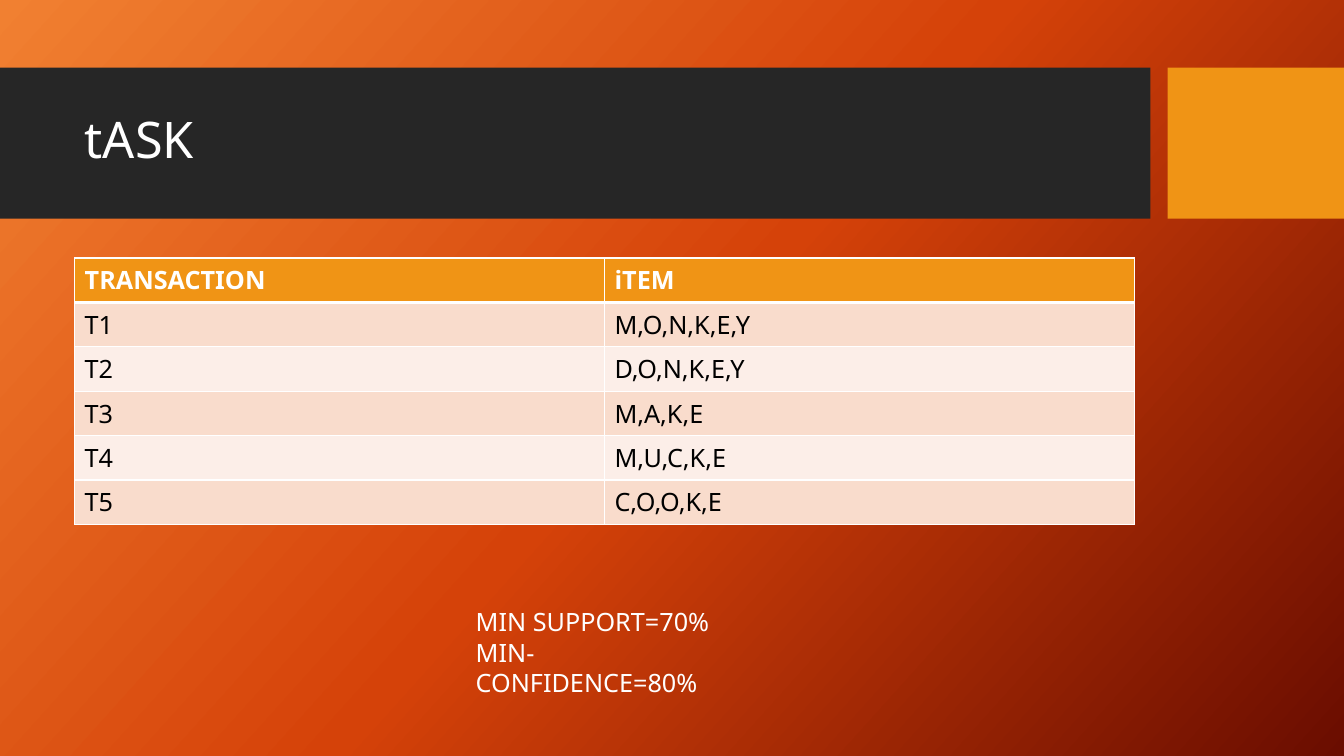
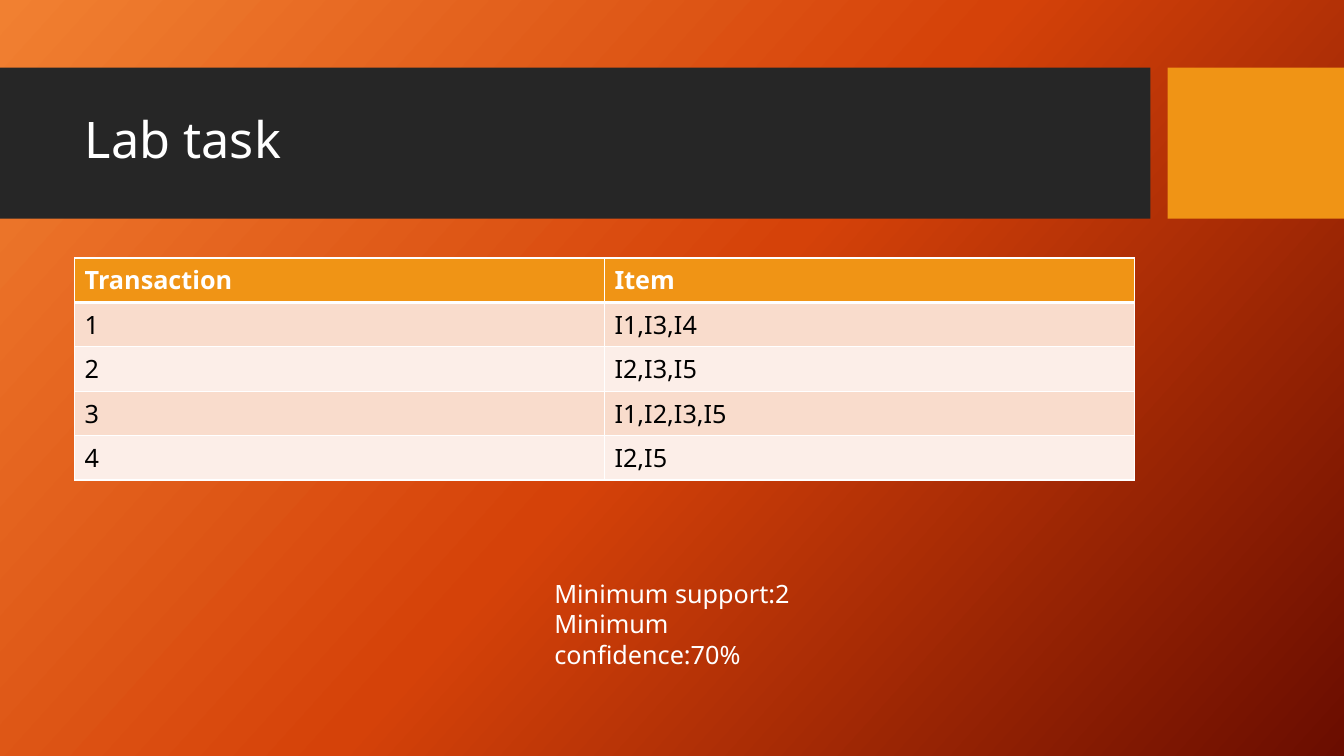
from copy import deepcopy

from lxml import etree
from pptx import Presentation
from pptx.dml.color import RGBColor
from pptx.enum import shapes, text
from pptx.oxml.ns import qn
from pptx.util import Inches, Pt

WHITE = RGBColor(0xFF, 0xFF, 0xFF)
BLACK = RGBColor(0, 0, 0)
CHARCOAL = RGBColor(0x26, 0x26, 0x26)
ORANGE = RGBColor(0xF0, 0x94, 0x15)
ROW_FILLS = [RGBColor(0xFC, 0xEE, 0xE8), RGBColor(0xF9, 0xDC, 0xCC)]
GRADIENT = [(0, RGBColor(0xF1, 0x80, 0x31)),
            (0.5, RGBColor(0xD5, 0x42, 0x09)),
            (1, RGBColor(0x6A, 0x0D, 0x00))]
GRADIENT_ANGLE = 42
FONT = "Noto Sans"

WIDTH, HEIGHT = 13.33, 7.5
LEFT, CONTENT_WIDTH = 0.74, 10.51
TABLE_TOP, ROW_HEIGHT = 2.56, 0.41
BAND_TOP, BAND_HEIGHT = 0.67, 1.5
BANDS = [(0, 11.41, CHARCOAL), (11.58, WIDTH - 11.58, ORANGE)]

SLIDES = [
    {"title": "tASK",
     "rows": [("TRANSACTION", "iTEM"),
              ("T1", "M,O,N,K,E,Y"),
              ("T2", "D,O,N,K,E,Y"),
              ("T3", "M,A,K,E"),
              ("T4", "M,U,C,K,E"),
              ("T5", "C,O,O,K,E")],
     "limits": ["MIN SUPPORT=70%", "MIN-CONFIDENCE=80%"],
     "limits_box": (4.62, 5.97, 2.68, 0.71)},
    {"title": "Lab task",
     "rows": [("Transaction", "Item"),
              ("1", "I1,I3,I4"),
              ("2", "I2,I3,I5"),
              ("3", "I1,I2,I3,I5"),
              ("4", "I2,I5")],
     "limits": ["Minimum support:2", "Minimum confidence:70%"],
     "limits_box": (5.4, 5.69, 3.05, 0.71)},
]


def box(*lengths):
    return [Inches(n) for n in lengths]


def write(tf, lines, size=18, color=WHITE, bold=False):
    for i, line in enumerate(lines):
        p = tf.paragraphs[0] if i == 0 else tf.add_paragraph()
        p.alignment = text.PP_ALIGN.LEFT
        r = p.add_run()
        r.text = line
        r.font.color.rgb = color
        for name, value in {"name": FONT, "size": Pt(size), "bold": bold}.items():
            setattr(r.font, name, value)


def set_background(master):
    fill = master.background.fill
    fill.gradient()
    fill.gradient_angle = 360 - GRADIENT_ANGLE
    stops = master.element.find(".//" + qn("a:gsLst"))
    stops.append(deepcopy(stops[0]))
    for stop, (position, color) in zip(fill.gradient_stops, GRADIENT):
        stop.position = position
        stop.color.rgb = color


def move_bands_to_layout(s, layout):
    """Draw the title bands on a slide, then place them behind its layout."""
    tree = layout.shapes.element if hasattr(layout.shapes, "element") else layout.element.cSld.spTree
    for i, (left, width, color) in enumerate(BANDS):
        sp = s.shapes.add_shape(shapes.MSO_SHAPE.RECTANGLE,
                                *box(left, BAND_TOP, width, BAND_HEIGHT))
        sp.shadow.inherit = False
        sp.fill.solid()
        sp.fill.fore_color.rgb = color
        sp.line.fill.background()
        sp.element.nvSpPr.cNvPr.set("id", str(100 + i))
        tree.insert(2 + i, sp.element)


def set_borders(cell, widths):
    tcPr = cell._tc.get_or_add_tcPr()
    for i, (side, width) in enumerate(widths.items()):
        ln = etree.Element(qn("a:ln" + side), w=str(Pt(width)))
        fill = etree.SubElement(ln, qn("a:solidFill"))
        etree.SubElement(fill, qn("a:srgbClr"), val=str(WHITE))
        tcPr.insert(i, ln)


def add_title(s, title):
    sp = s.shapes.title
    sp.left, sp.top, sp.width, sp.height = box(LEFT, 0.82, CONTENT_WIDTH, 1.18)
    tf = sp.text_frame
    tf.vertical_anchor = text.MSO_ANCHOR.MIDDLE
    write(tf, [title], size=36)
    tf.paragraphs[0].line_spacing = 0.9


def add_transactions(s, rows):
    table = s.shapes.add_table(
        len(rows), len(rows[0]),
        *box(LEFT, TABLE_TOP, CONTENT_WIDTH, ROW_HEIGHT * len(rows))).table
    for i, row in enumerate(rows):
        header = i == 0
        for j, value in enumerate(row):
            cell = table.cell(i, j)
            cell.fill.solid()
            cell.fill.fore_color.rgb = ORANGE if header else ROW_FILLS[i % 2]
            write(cell.text_frame, [value], color=WHITE if header else BLACK, bold=header)
            set_borders(cell, {"L": 1, "R": 1, "T": 3 if i == 1 else 1,
                               "B": 3 if header else 1})


def add_limits(s, lines, place):
    tf = s.shapes.add_textbox(*box(*place)).text_frame
    tf.word_wrap = True
    write(tf, lines)


def main():
    prs = Presentation()
    prs.slide_width, prs.slide_height = box(WIDTH, HEIGHT)
    set_background(prs.slide_master)
    layout = prs.slide_layouts.get_by_name("Title Only")
    for i, content in enumerate(SLIDES):
        s = prs.slides.add_slide(layout)
        if i == 0:
            move_bands_to_layout(s, layout)
        add_title(s, content["title"])
        add_transactions(s, content["rows"])
        add_limits(s, content["limits"], content["limits_box"])
    prs.save("out.pptx")


if __name__ == "__main__":
    main()
